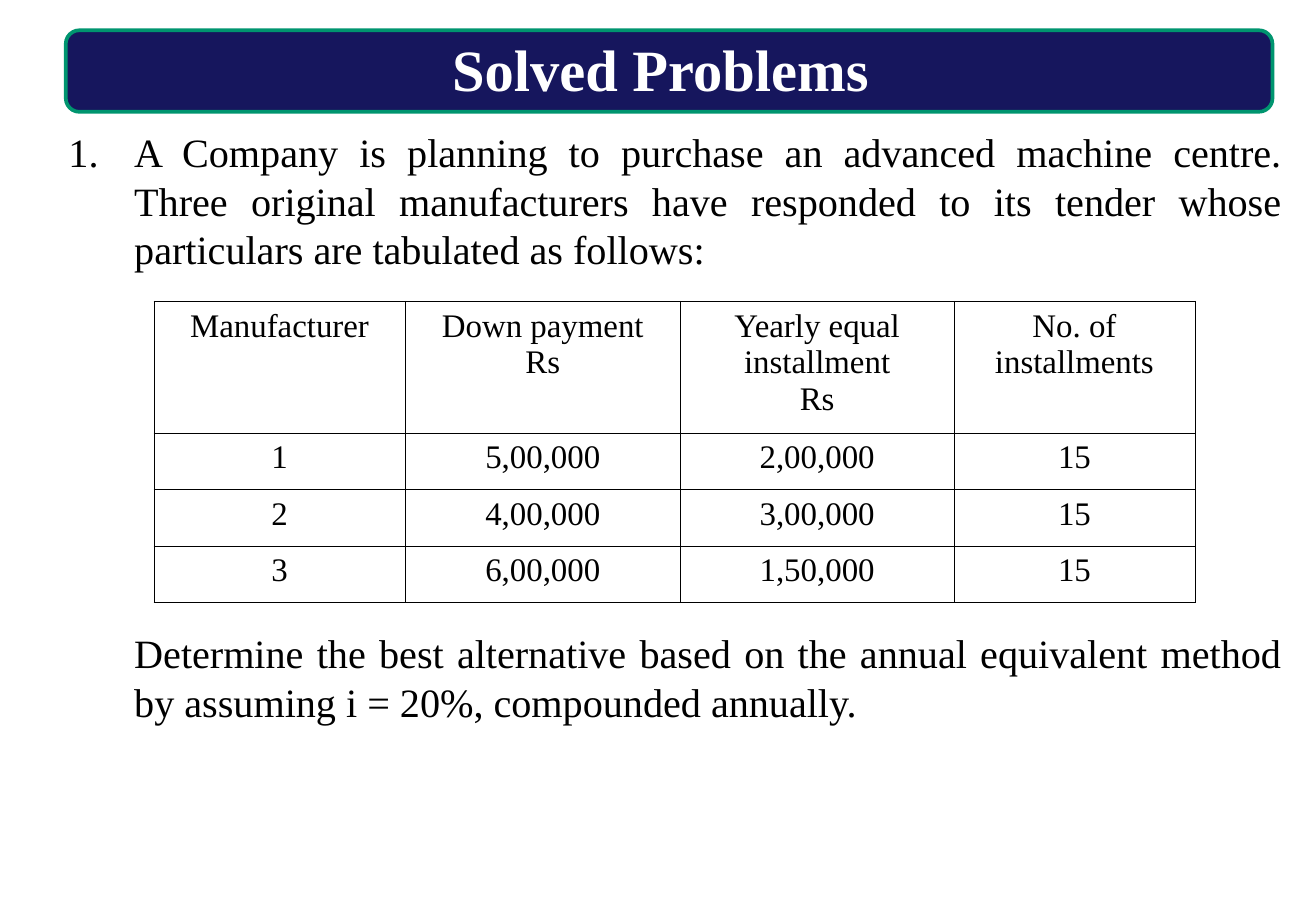
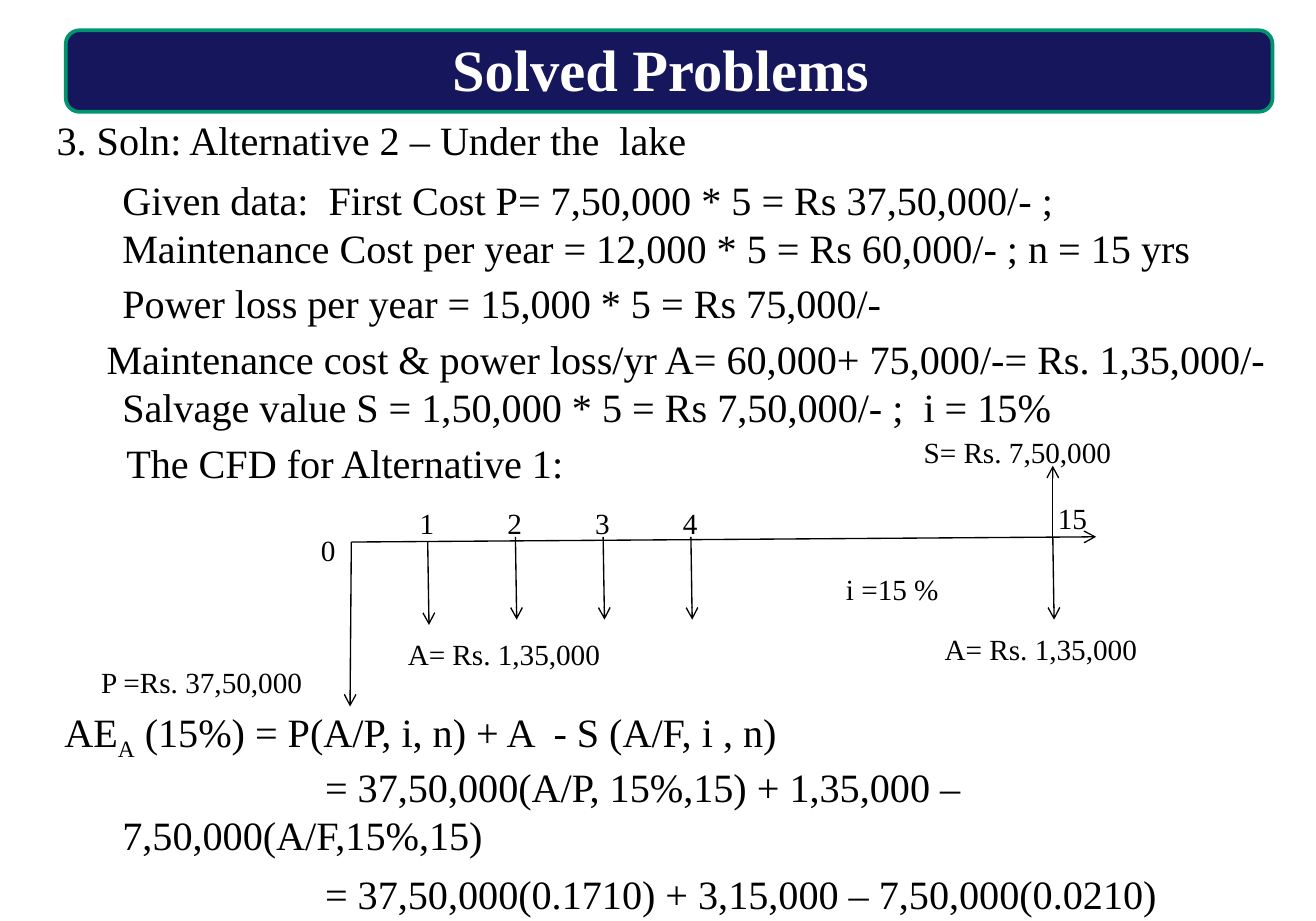
import pptx
import pptx.dml.color
import pptx.enum.shapes
import pptx.enum.text
import pptx.oxml.ns
import pptx.util
from lxml import etree

Inches = pptx.util.Inches
Pt = pptx.util.Pt
ALIGN = pptx.enum.text.PP_ALIGN

NAVY = pptx.dml.color.RGBColor(0x16, 0x16, 0x5D)
GREEN = pptx.dml.color.RGBColor(0x00, 0x95, 0x6F)
WHITE = pptx.dml.color.RGBColor(0xFF, 0xFF, 0xFF)
BLACK = pptx.dml.color.RGBColor(0x00, 0x00, 0x00)

FONT = "Times New Roman"
TITLE = "Solved Problems"
TITLE_FONT = {"name": FONT, "size": Pt(32), "bold": True}
BODY_FONT = {"name": FONT, "size": Pt(22)}
CELL_FONT = {"name": FONT, "size": Pt(18)}
LABEL_FONT = {"name": FONT, "size": Pt(16)}

PROBLEM_BOX = (0.42, 0.92, 9.42, 5.75)
PROBLEM = [
    {"text": "A Company is planning to purchase an advanced machine centre. Three original "
             "manufacturers have responded to its tender whose particulars are tabulated as follows:",
     "first": -0.5, "before": 6, "after": 12, "align": ALIGN.JUSTIFY, "numbered": True},
    {"text": "Determine the best alternative based on the annual equivalent method by assuming "
             "i = 20%, compounded annually.",
     "before": 183, "after": 12, "align": ALIGN.JUSTIFY},
]

TABLE_BOX = (1.17, 2.29, 7.91, 2.29)
COLUMN_WIDTHS = [1.91, 2.09, 2.08, 1.83]
ROW_HEIGHTS = [1, 0.43, 0.43, 0.43]
OFFERS = [
    ("Manufacturer", "Down payment\nRs", "Yearly equal\ninstallment\nRs", "No. of\ninstallments"),
    ("1", "5,00,000", "2,00,000", "15"),
    ("2", "4,00,000", "3,00,000", "15"),
    ("3", "6,00,000", "1,50,000", "15"),
]

SOLUTION_BOX = (0.33, 0.83, 9.58, 6.17)
SOLUTION = [
    {"text": "3. Soln: Alternative 2 – Under the  lake", "first": -0.5, "after": 6},
    {"text": "Given data:  First Cost P= 7,50,000 * 5 = Rs 37,50,000/- ;"},
    {"text": "Maintenance Cost per year = 12,000 * 5 = Rs 60,000/- ; n = 15 yrs", "after": 4},
    {"text": "Power loss per year = 15,000 * 5 = Rs 75,000/-", "after": 4},
    {"text": "Maintenance cost & power loss/yr A= 60,000+ 75,000/-= Rs. 1,35,000/-", "first": -0.12},
    {"text": "Salvage value S = 1,50,000 * 5 = Rs 7,50,000/- ;  i = 15%", "after": 4},
    {"text": "The CFD for Alternative 1:", "first": 0.03, "after": 6},
    {"text": "AE_A_ (15%) = P(A/P, i, n) + A  - S (A/F, i , n)", "first": -0.44, "before": 115},
    {"text": "= 37,50,000(A/P, 15%,15) + 1,35,000 – 7,50,000(A/F,15%,15)", "first": 1.54, "after": 6},
    {"text": "= 37,50,000(0.1710) + 3,15,000 – 7,50,000(0.0210)", "first": 1.54, "after": 6},
]

FIRST_YEAR_X = 3.25
YEAR_GAP = 2 / 3
YEAR_TOPS = [4.12, 4.08, 4.08, 4.08]
DROP = 0.63
LABEL_HEIGHT = 0.37
FLOWS = [
    (2.67, 4.12, 8.33, 4.08),
    (2.67, 4.12, 2.66, 5.37),
    (8, 4.08, 8.01, 4.71),
    (8, 4.12, 8, 3.54),
]
LABELS = [
    ("0", 2.34, 4, 0.31),
    ("15", 7.94, 3.75, 0.42),
    ("P =Rs. 37,50,000", 0.67, 5, 1.92),
    ("A= Rs. 1,35,000", 3, 4.79, 1.92),
    ("i =15 %", 6.33, 4.29, 0.98),
    ("S= Rs. 7,50,000", 6.92, 3.25, 1.92),
    ("A= Rs. 1,35,000", 7.08, 4.75, 1.92),
]


def add_xml(parent, tag, **attributes):
    return etree.SubElement(parent, pptx.oxml.ns.qn(tag), attributes)


def place(shape, box):
    for name, value in zip(("left", "top", "width", "height"), box):
        setattr(shape, name, Inches(value))


def add_span(para, text, font, color=BLACK):
    span = para.add_run()
    span.text = text
    for name, value in font.items():
        setattr(span.font, name, value)
    span.font.color.rgb = color
    return span


def fill_body(body, box, items):
    place(body, box)
    frame = body.text_frame
    frame.auto_size = pptx.enum.text.MSO_AUTO_SIZE.NONE
    frame.vertical_anchor = pptx.enum.text.MSO_ANCHOR.TOP
    for index, item in enumerate(items):
        para = frame.add_paragraph() if index else frame.paragraphs[0]
        para.alignment = item.get("align", ALIGN.LEFT)
        para.space_before = Pt(item.get("before", 0))
        para.space_after = Pt(item.get("after", 0))
        properties = para._p.get_or_add_pPr()
        properties.set("marL", str(Inches(0.5)))
        properties.set("indent", str(Inches(item.get("first", 0))))
        if item.get("numbered"):
            add_xml(properties, "a:buFont", typeface="+mj-lt")
            add_xml(properties, "a:buAutoNum", type="arabicPeriod")
        else:
            add_xml(properties, "a:buNone")
        for part, text in enumerate(item["text"].split("_")):
            span = add_span(para, text, BODY_FONT)
            if part % 2:
                span._r.get_or_add_rPr().set("baseline", "-25000")


def add_page(deck, box, items):
    page = deck.slides.add_slide(deck.slide_layouts[1])
    banner = page.shapes.add_shape(pptx.enum.shapes.MSO_SHAPE.ROUNDED_RECTANGLE,
                                   Inches(0.5), Inches(0.23), Inches(9.17), Inches(0.62))
    banner.shadow.inherit = False
    banner.adjustments[0] = 0.167
    banner.fill.solid()
    banner.fill.fore_color.rgb = NAVY
    banner.line.color.rgb = GREEN
    banner.line.width = Pt(2)
    page.shapes._spTree.insert(2, banner._element)

    title = page.shapes.title
    place(title, (0.79, 0.2, 8.46, 0.47))
    title.text_frame.auto_size = pptx.enum.text.MSO_AUTO_SIZE.NONE
    title.text_frame.vertical_anchor = pptx.enum.text.MSO_ANCHOR.TOP
    para = title.text_frame.paragraphs[0]
    para.alignment = ALIGN.CENTER
    add_span(para, TITLE, TITLE_FONT, WHITE)

    fill_body(page.placeholders[1], box, items)
    return page


def format_cell(cell, text):
    for index, line in enumerate(text.split("\n")):
        para = cell.text_frame.add_paragraph() if index else cell.text_frame.paragraphs[0]
        para.alignment = ALIGN.CENTER
        add_span(para, line, CELL_FONT)
    properties = cell._tc.get_or_add_tcPr()
    for side in ("a:lnL", "a:lnR", "a:lnT", "a:lnB"):
        border = add_xml(properties, side, w=str(Pt(0.45)))
        add_xml(add_xml(border, "a:solidFill"), "a:srgbClr", val=str(BLACK))
    cell.fill.background()


def add_offers(page):
    table = page.shapes.add_table(len(OFFERS), len(COLUMN_WIDTHS),
                                  *[Inches(value) for value in TABLE_BOX]).table
    for column, width in zip(table.columns, COLUMN_WIDTHS):
        column.width = Inches(width)
    for row, height, offer in zip(table.rows, ROW_HEIGHTS, OFFERS):
        row.height = Inches(height)
        for cell, text in zip(row.cells, offer):
            format_cell(cell, text)


def add_arrow(page, *ends):
    arrow = page.shapes.add_connector(pptx.enum.shapes.MSO_CONNECTOR.STRAIGHT,
                                      *[Inches(value) for value in ends])
    arrow.line.color.rgb = BLACK
    arrow.line.width = Pt(0.75)
    add_xml(arrow.line._get_or_add_ln(), "a:tailEnd", type="arrow")
    add_xml(arrow._element.spPr, "a:effectLst")


def add_label(page, text, left, top, width):
    box = page.shapes.add_textbox(Inches(left), Inches(top), Inches(width), Inches(LABEL_HEIGHT))
    box.text_frame.word_wrap = width > 0.5
    box.text_frame.auto_size = pptx.enum.text.MSO_AUTO_SIZE.SHAPE_TO_FIT_TEXT
    add_span(box.text_frame.paragraphs[0], text, LABEL_FONT)


def add_cash_flow(page):
    for flow in FLOWS:
        add_arrow(page, *flow)
    for index, top in enumerate(YEAR_TOPS):
        x = FIRST_YEAR_X + index * YEAR_GAP
        add_arrow(page, x, top, x + 0.01, top + DROP)
        add_label(page, str(index + 1), x - 0.16, 3.79, 0.31)
    for label in LABELS:
        add_label(page, *label)


def main():
    deck = pptx.Presentation()
    deck.slide_width = Inches(10)
    deck.slide_height = Inches(7)
    add_offers(add_page(deck, PROBLEM_BOX, PROBLEM))
    add_cash_flow(add_page(deck, SOLUTION_BOX, SOLUTION))
    deck.save("out.pptx")


if __name__ == "__main__":
    main()
